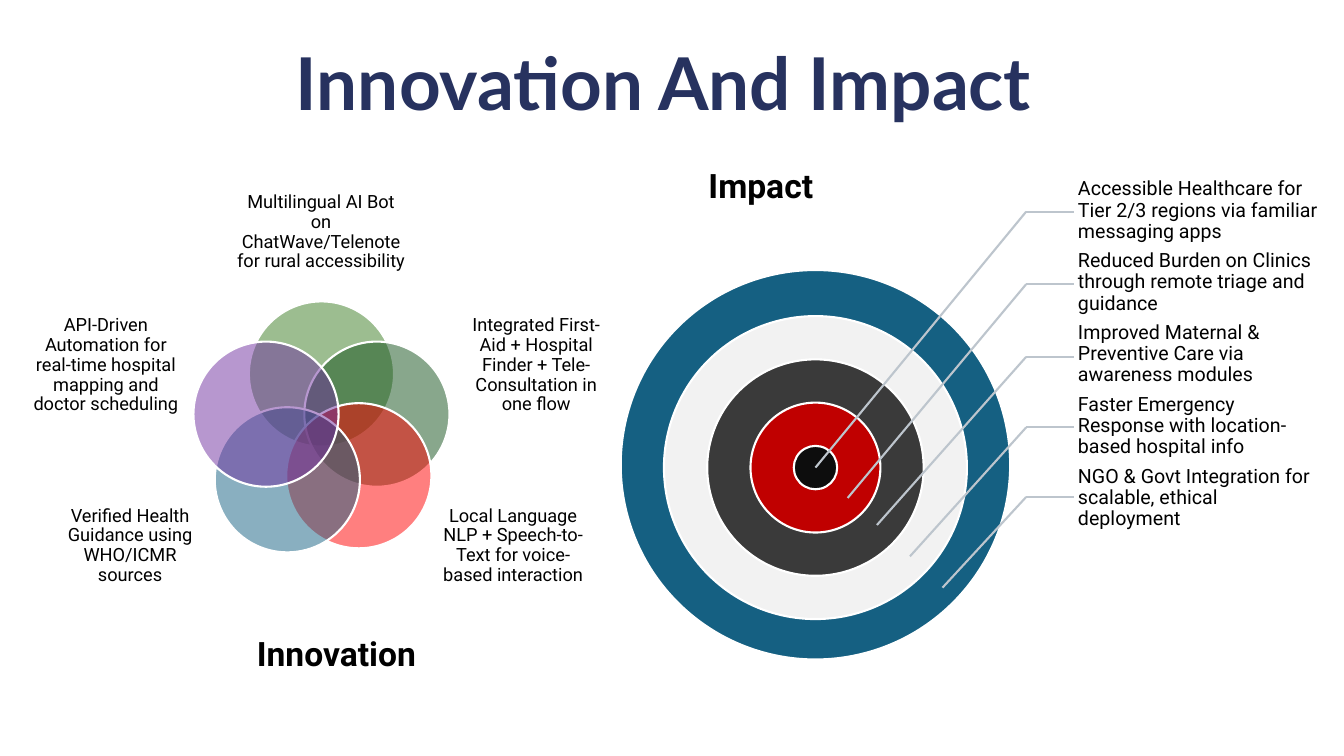
from lxml import etree
from pptx import Presentation
from pptx import util as u
from pptx.dml.color import RGBColor
from pptx.enum import shapes, text
from pptx.oxml import ns

Pt = u.Pt
NAVY = RGBColor(0x27, 0x32, 0x5F)
BLACK = RGBColor(0x00, 0x00, 0x00)
WHITE = RGBColor(0xFF, 0xFF, 0xFF)
BLUE = RGBColor(0x15, 0x60, 0x82)
PALE = RGBColor(0xF2, 0xF2, 0xF2)
DARK = RGBColor(0x3A, 0x3A, 0x3A)
CRIMSON = RGBColor(0xC0, 0x00, 0x00)
INK = RGBColor(0x0D, 0x0D, 0x0D)
GREEN = RGBColor(0x3B, 0x7D, 0x23)
FOREST = RGBColor(0x13, 0x50, 0x1B)
RED = RGBColor(0xFF, 0x00, 0x00)
PURPLE = RGBColor(0x70, 0x30, 0xA0)
GREY = RGBColor(0xBD, 0xC5, 0xCD)

LEFT, CENTER = text.PP_ALIGN.LEFT, text.PP_ALIGN.CENTER
TOP, MIDDLE = text.MSO_ANCHOR.TOP, text.MSO_ANCHOR.MIDDLE

# Petal: colour, left and top of circle, label box, label
PETALS = [
    (GREEN, 177.8, 215.3, (169.2, 131, 120.2, 70),
     "Multilingual AI Bot on ChatWave/Telenote for rural accessibility"),
    (FOREST, 217.4, 244, (329, 223.2, 108, 75.6),
     "Integrated First-Aid + Hospital Finder + Tele-Consultation in one flow"),
    (RED, 204.5, 288, (312.5, 352, 108, 75.6),
     "Local Language NLP + Speech-to-Text for voice-based interaction"),
    (BLUE, 153.4, 290.9, (38.9, 352, 108, 75.6),
     "Verified Health Guidance using WHO/ICMR sources"),
    (PURPLE, 138.2, 244, (21.6, 223.2, 108, 75.6),
     "API-Driven Automation for real-time hospital mapping and "
     "doctor scheduling"),
]

# Impact: leader height, point on the target, label width, label
IMPACTS = [
    (151.2, (582.5, 334), 194,
     "Accessible Healthcare for Tier 2/3 regions via familiar messaging apps"),
    (203, (605.5, 355.7), 204,
     "Reduced Burden on Clinics through remote triage and guidance"),
    (254.9, (626.4, 375), 181,
     "Improved Maternal & Preventive Care via awareness modules"),
    (305.3, (650, 397.4), 183,
     "Faster Emergency Response with location-based hospital info"),
    (355, (673.2, 419.8), 184,
     "NGO & Govt Integration for scalable, ethical deployment"),
]


def add_text(slide, words, box, size, font="Roboto", color=BLACK, bold=False,
             align=LEFT, anchor=MIDDLE, inset=(0, 0, 0, 0), space=0.9):
    frame = slide.shapes.add_textbox(*map(Pt, box)).text_frame
    frame.word_wrap = True
    frame.vertical_anchor = anchor
    (frame.margin_left, frame.margin_top,
     frame.margin_right, frame.margin_bottom) = map(Pt, inset)
    para = frame.paragraphs[0]
    para.alignment = align
    para.line_spacing = space
    run = para.add_run()
    run.text = words
    run.font.name, run.font.size = font, Pt(size)
    run.font.bold, run.font.color.rgb = bold, color


def add_disc(slide, left, top, size, color, alpha=None):
    disc = slide.shapes.add_shape(
        shapes.MSO_SHAPE.OVAL, Pt(left), Pt(top), Pt(size), Pt(size))
    disc.shadow.inherit = False
    disc.fill.solid()
    disc.fill.fore_color.rgb = color
    disc.line.color.rgb = WHITE
    disc.line.width = Pt(1.5)
    if alpha:
        tint = disc.element.spPr.find(ns.qn("a:solidFill"))[0]
        etree.SubElement(tint, ns.qn("a:alpha")).set("val", str(alpha * 1000))


def add_line(slide, start, end):
    line = slide.shapes.add_connector(
        shapes.MSO_CONNECTOR.STRAIGHT, *map(Pt, start + end))
    line.line.color.rgb = GREY
    line.line.width = Pt(1.5)
    etree.SubElement(line.element.spPr, ns.qn("a:effectLst"))


def add_target(slide):
    # Rings, widest first; the outer one sits slightly higher
    for step, color in enumerate([BLUE, PALE, DARK, CRIMSON, INK]):
        radius = 139.1 - 30.9 * step
        mid = 332 if step == 0 else 334
        add_disc(slide, 582.5 - radius, mid - radius, 2 * radius, color)

    # Labels with bent leaders
    for row, (level, point, width, words) in enumerate(IMPACTS):
        mid = 150.5 + 51.3 * row
        add_text(slide, words, (762, mid - 24.5, width, 49), 14,
                 inset=(8, 1.5, 1.5, 1.5))
        bend = (733, level)
        add_line(slide, bend, (767.5, level))
        add_line(slide, bend, point)


def add_venn(slide):
    for color, left, top, box, words in PETALS:
        add_disc(slide, left, top, 103.7, color, alpha=50)
        add_text(slide, words, box, 13, align=CENTER)


def main():
    deck = Presentation()
    deck.slide_width, deck.slide_height = Pt(960), Pt(540)
    slide = deck.slides.add_slide(deck.slide_layouts[6])

    add_target(slide)

    # Title and headings
    add_text(slide, "Innovation And Impact", (60, 10, 828, 104.4), 52,
             font="Lato", color=NAVY, bold=True, align=CENTER)
    for words, box in [("Innovation", (176.4, 448.6, 144.7, 36)),
                       ("Impact", (499, 114.5, 100, 36))]:
        add_text(slide, words, box, 24, bold=True, anchor=TOP,
                 inset=(7.2, 3.6, 7.2, 3.6), space=1.0)

    add_venn(slide)
    deck.save("out.pptx")


if __name__ == "__main__":
    main()
